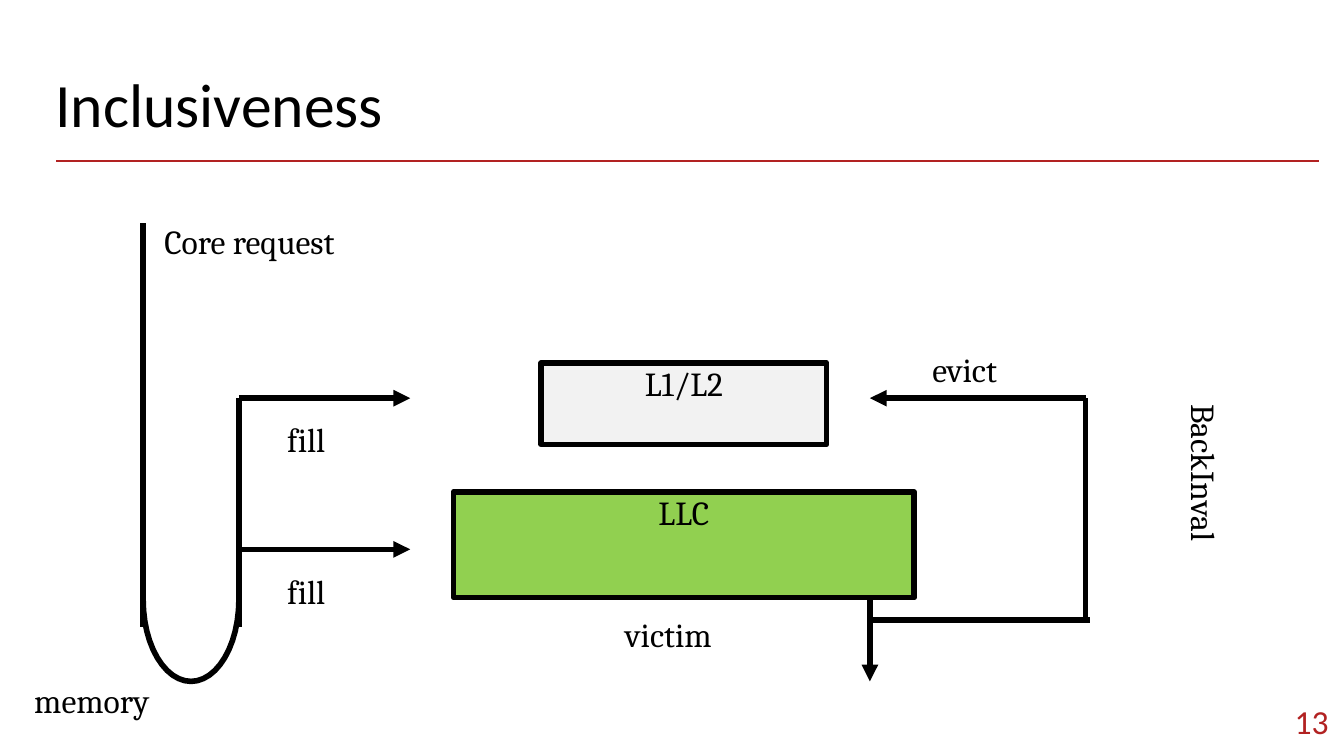
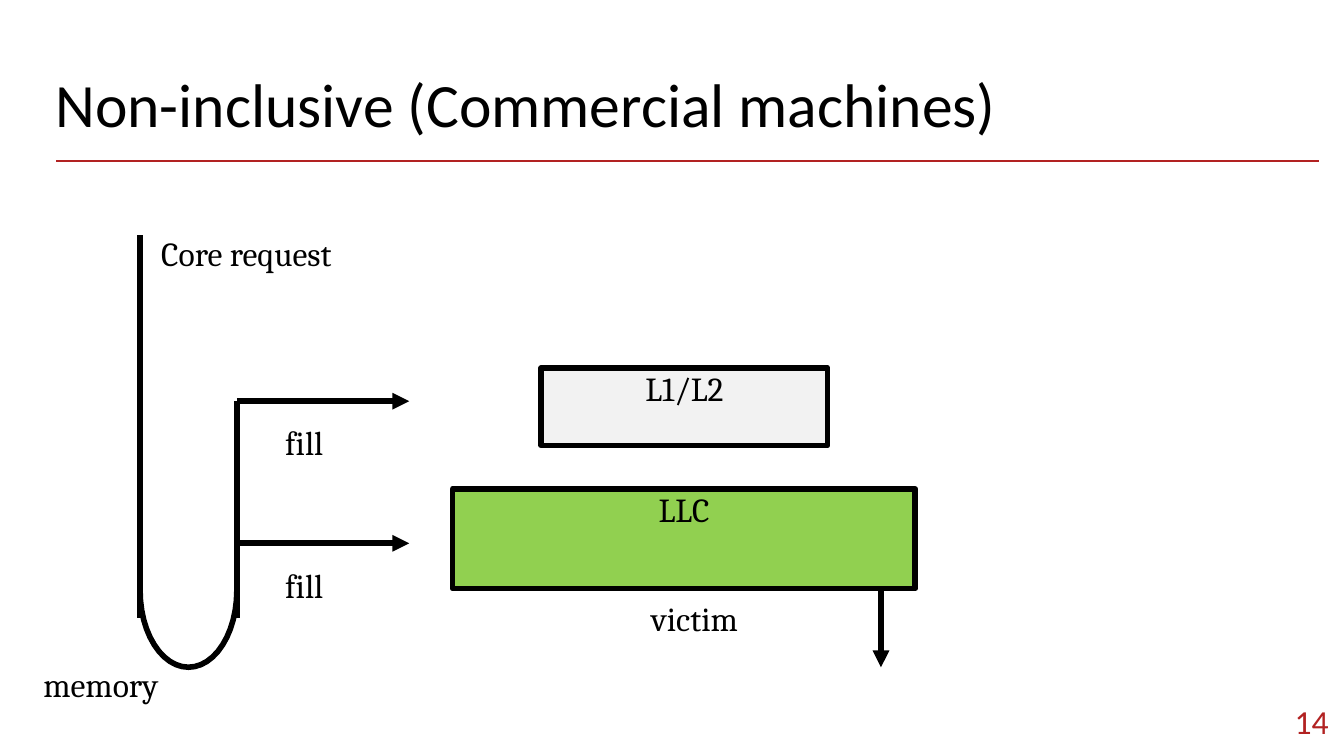
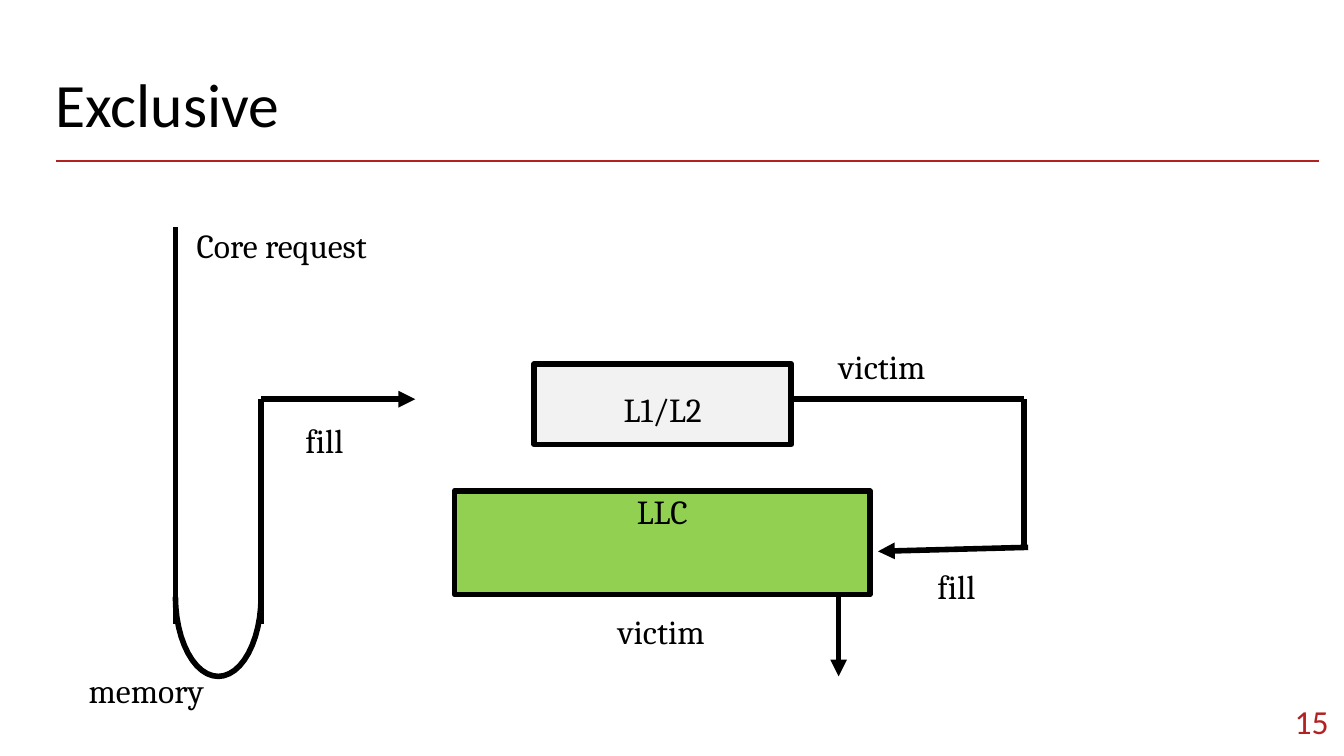
import math

import pptx
import pptx.dml.color
import pptx.enum.shapes
import pptx.enum.text
import pptx.oxml.ns
import pptx.util
from lxml import etree

RGBColor = pptx.dml.color.RGBColor
ALIGN = pptx.enum.text.PP_ALIGN
ANCHOR = pptx.enum.text.MSO_ANCHOR
SHAPE = pptx.enum.shapes.MSO_SHAPE
qn = pptx.oxml.ns.qn

BLACK = RGBColor(0x00, 0x00, 0x00)
RED = RGBColor(0xB2, 0x22, 0x22)
GRAY = RGBColor(0xF2, 0xF2, 0xF2)
GREEN = RGBColor(0x91, 0xD0, 0x50)
HEAD_FONT, BODY_FONT = "Calibri", "Cambria"
COLS, ROWS = 133.33, 75  # grid cells are a tenth of an inch
STROKE = 4
LABEL_H = 3.6
LEG_OVERLAP = 2.7  # how far the loop's legs run past the start of its arc
TITLE_BOX = (4.5, 6.4, 124.2, 8.4)
NUMBER_BOX = (122.7, 68.7, 10.1, 5.7)


def grid(cells):
    return pptx.util.Inches(cells / 10)


def place(*cells):
    return [grid(c) for c in cells]


def write(tf, text, size=24, font=BODY_FONT, color=BLACK, align=ALIGN.LEFT,
          anchor=ANCHOR.TOP, inset=0, top=None, spacing=None, wrap=True):
    """Put one formatted paragraph in a text frame."""
    tf.word_wrap = wrap
    tf.auto_size = pptx.enum.text.MSO_AUTO_SIZE.NONE
    tf.vertical_anchor = anchor
    tf.margin_left = tf.margin_right = tf.margin_bottom = grid(inset)
    tf.margin_top = grid(inset if top is None else top)
    p = tf.paragraphs[0]
    p.alignment = align
    p.line_spacing = spacing
    r = p.add_run()
    r.text = text
    r.font.size = pptx.util.Pt(size)
    r.font.name = font
    r.font.color.rgb = color


def add_label(s, text, left, top, width=9.2, height=LABEL_H, vertical=False, **fmt):
    sp = s.shapes.add_textbox(*place(left, top, width, height))
    write(sp.text_frame, text, **{"wrap": False, **fmt})
    if vertical:
        sp.text_frame._txBody.bodyPr.set("vert", "vert")


def add_line(s, x1, y1, x2, y2, color=BLACK, width=STROKE, arrow=False):
    line = s.shapes.add_connector(pptx.enum.shapes.MSO_CONNECTOR.STRAIGHT,
                                  *place(x1, y1, x2, y2))
    line.line.color.rgb = color
    line.line.width = pptx.util.Pt(width)
    sp_pr = line._element.spPr
    if arrow:
        etree.SubElement(sp_pr.find(qn("a:ln")), qn("a:tailEnd"), type="triangle")
    etree.SubElement(sp_pr, qn("a:effectLst"))


def outline(sp):
    sp.shadow.inherit = False
    sp.line.color.rgb = BLACK
    sp.line.width = pptx.util.Pt(STROKE)


def add_cache(s, text, box, fill, top=0):
    sp = s.shapes.add_shape(SHAPE.RECTANGLE, *place(*box))
    sp.fill.solid()
    sp.fill.fore_color.rgb = fill
    outline(sp)
    write(sp.text_frame, text, align=ALIGN.CENTER, top=top)


def add_arc(s, left, right, top, bottom, steps=24):
    """Lower half of an ellipse."""
    mid, radius = (left + right) / 2, (right - left) / 2
    angles = [math.pi * i / steps for i in range(steps + 1)]
    points = [place(mid - radius * math.cos(a), top + (bottom - top) * math.sin(a))
              for a in angles]
    builder = s.shapes.build_freeform(*points[0])
    builder.add_line_segments(points[1:], close=False)
    sp = builder.convert_to_shape()
    sp.fill.background()
    outline(sp)


def add_request_loop(s, left, right, top, arc_top, arc_bottom, fills,
                     arrow_end, fill_left, memory):
    """Core request going down to memory and back up to the cache fills."""
    leg_end = arc_top + LEG_OVERLAP
    add_line(s, left, leg_end, left, top)
    add_line(s, right, leg_end, right, fills[0])
    add_arc(s, left, right, arc_top, arc_bottom)
    for row in fills:
        add_line(s, right, row, arrow_end, row, arrow=True)
        add_label(s, "fill", fill_left, row + 2.1, width=4)
    add_label(s, "Core request", left + 2.1, top - 0.2, width=18.4)
    add_label(s, "memory", *memory, width=12.3)


def add_victim(s, x, top, bottom, label):
    add_line(s, x, top, x, bottom, arrow=True)
    add_label(s, "victim", *label)


def add_slide(prs, title, number):
    s = prs.slides.add_slide(prs.slide_layouts[5])
    write(s.shapes.title.text_frame, title, size=44, font=HEAD_FONT,
          inset=1, spacing=0.9)
    add_line(s, 5.6, 16, 130.9, 16, color=RED, width=1.5)
    x, y, w, h = NUMBER_BOX
    add_label(s, str(number), x, y, w, h, font=HEAD_FONT, color=RED, inset=1,
              align=ALIGN.RIGHT, anchor=ANCHOR.MIDDLE, wrap=True)
    return s


def inclusive(s):
    add_cache(s, "L1/L2", (53.7, 36, 28.3, 8.1), GRAY)
    add_cache(s, "LLC", (45, 48.8, 45.7, 10.5), GREEN)
    add_request_loop(s, 14.2, 23.7, 22.1, 59.5, 67.6, fills=(39.5, 54.5),
                     arrow_end=40.7, fill_left=28.5, memory=(3.4, 67.5))
    add_victim(s, 86.3, 59.2, 67.6, label=(62, 60.9))
    # Back-invalidation from the victim up to L1/L2
    add_line(s, 86.3, 61.5, 108.1, 61.5)
    add_line(s, 107.7, 61.5, 107.7, 39.5)
    add_line(s, 107.7, 39.5, 86.3, 39.5, arrow=True)
    add_label(s, "evict", 92.5, 34.6, width=7.1)
    add_label(s, "BackInval", 117.9, 40.1, LABEL_H, 14.2, vertical=True)


def non_inclusive(s):
    add_cache(s, "L1/L2", (53.7, 36.5, 28.4, 7.7), GRAY)
    add_cache(s, "LLC", (44.9, 48.5, 45.9, 9.9), GREEN)
    add_request_loop(s, 13.9, 23.5, 23.3, 58.6, 66.2, fills=(39.8, 53.9),
                     arrow_end=40.6, fill_left=28.3, memory=(4.3, 65.9))
    add_victim(s, 87.4, 58.4, 66.2, label=(64.6, 59.3))


def exclusive(s):
    add_cache(s, "L1/L2", (53, 36.1, 25.5, 8), GRAY, top=2.5)
    add_cache(s, "LLC", (45.1, 48.7, 41.2, 10.3), GREEN)
    add_request_loop(s, 17.4, 25.9, 22.5, 59.2, 67.1, fills=(39.6,),
                     arrow_end=41.2, fill_left=30.3, memory=(8.8, 66.5))
    add_victim(s, 83.2, 59, 67.1, label=(61.3, 60.6))
    # L1/L2 victims fill the LLC
    add_line(s, 78.5, 39.6, 101.6, 39.6)
    add_line(s, 101.6, 39.6, 101.6, 54.3)
    add_line(s, 102, 54.3, 87.1, 54.7, arrow=True)
    add_label(s, "victim", 83.2, 34.3)
    add_label(s, "fill", 93, 56.1, width=4)


def main():
    prs = pptx.Presentation()
    prs.slide_width, prs.slide_height = place(COLS, ROWS)
    # Shared title position
    title = prs.slide_layouts[5].placeholders[0]
    title.left, title.top, title.width, title.height = place(*TITLE_BOX)

    slides = (("Inclusiveness", inclusive),
              ("Non-inclusive (Commercial machines)", non_inclusive),
              ("Exclusive", exclusive))
    for number, (heading, draw) in enumerate(slides, start=13):
        draw(add_slide(prs, heading, number))
    prs.save("out.pptx")


if __name__ == "__main__":
    main()
